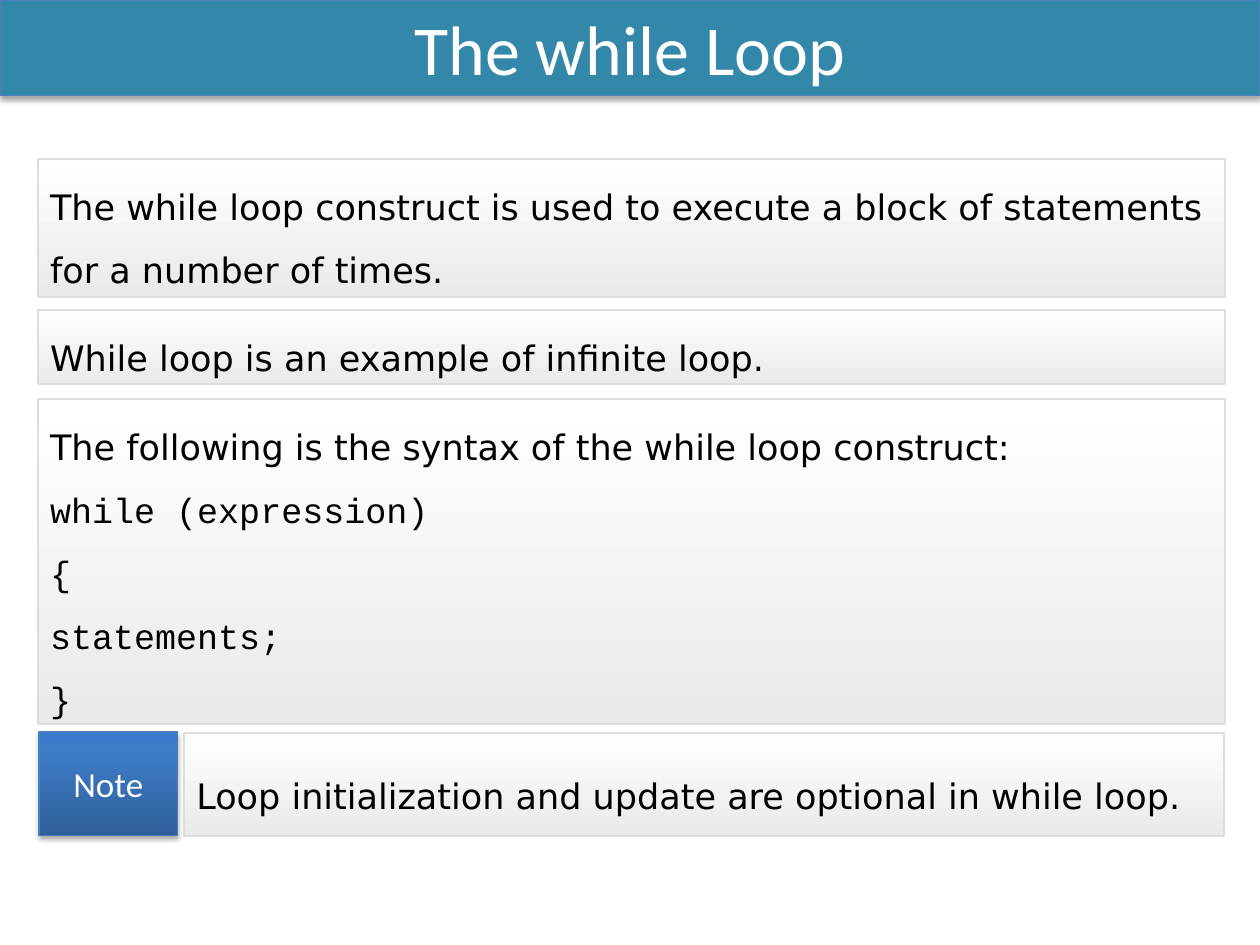
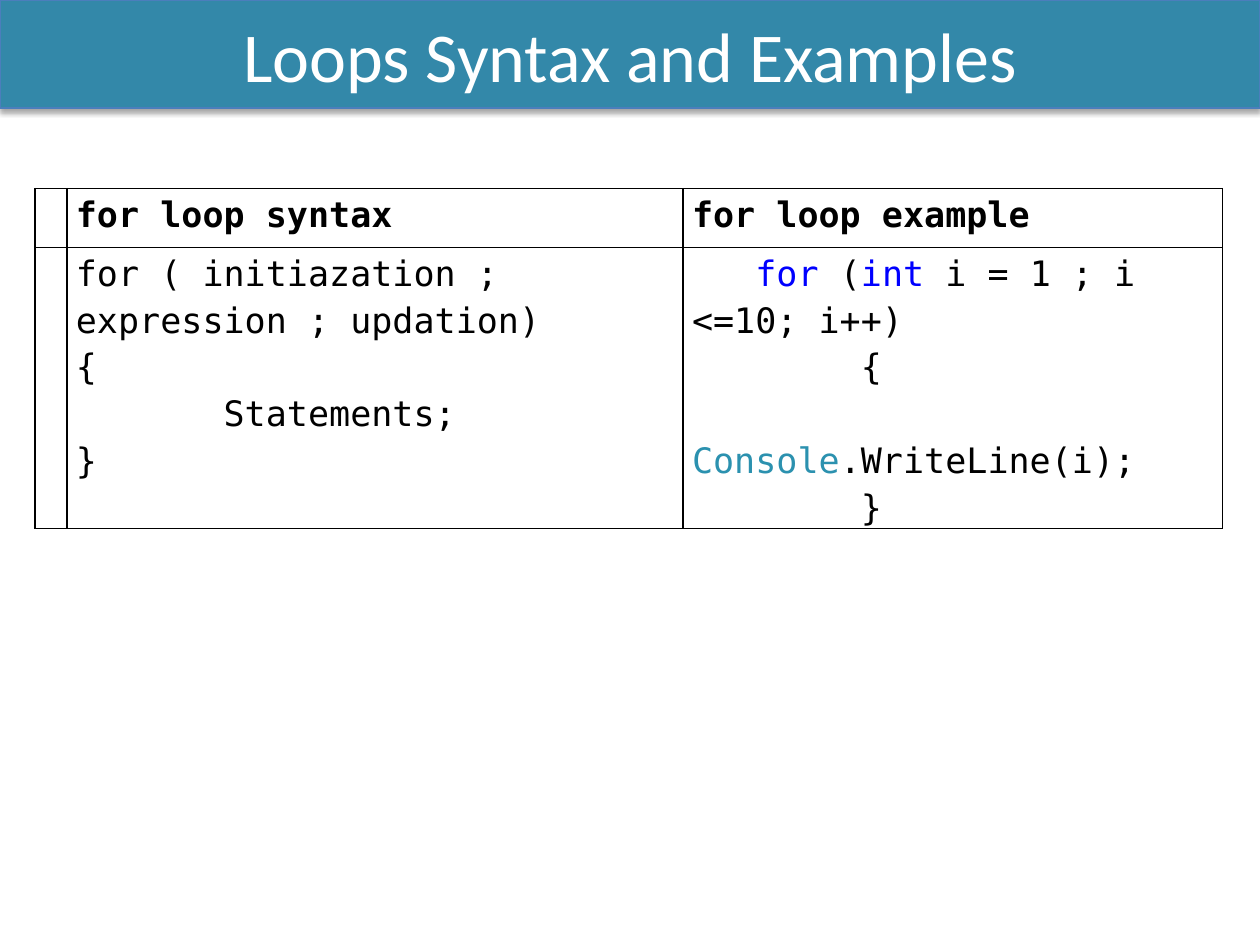
"""Build two slides on loops: the while construct and a table of for syntax."""
from copy import deepcopy
from pptx import Presentation
from pptx.dml.color import RGBColor
from pptx.enum.shapes import MSO_SHAPE
from pptx.enum.text import MSO_ANCHOR, PP_ALIGN
from pptx.oxml import parse_xml
from pptx.oxml.ns import nsdecls, qn
from pptx.util import Cm, Pt

WIDTH, HEIGHT = 25.4, 19.05
BLACK, WHITE, BLUE, TEAL = "000000", "FFFFFF", "0000FF", "2B91AF"
BAND, EDGE, FRAME = "3388A9", "4B7EBC", "DDDDDD"
PALE = ([(0, WHITE), (1, "EAEAEA")], 270)
DEEP = ([(0, "2F5F99"), (0.8, "3D7CC7"), (1, "3A7CCB")], 90)

HEAD = {"name": "Calibri", "size": Pt(40), "color": WHITE}
LABEL = {"name": "Calibri", "size": Pt(20), "color": WHITE}
BODY = {"name": "DejaVu Sans", "size": Pt(20), "color": BLACK}
CODE = {**BODY, "name": "Courier New"}
MONO = {**BODY, "name": "DejaVu Sans Mono"}
BOLD = {**MONO, "bold": True}
KEY = {**MONO, "color": BLUE}
KIND = {**MONO, "color": TEAL}

SYNTAX = ["while (expression)", "{", "statements;", "}"]
BOXES = [
    (0.76, 3.2, 23.93, 2.79, [[(
        "The while loop construct is used to execute a block of statements for a number of times.",
        BODY)]]),
    (0.76, 6.25, 23.93, 1.5, [[("While loop is an example of infinite loop.", BODY)]]),
    (0.76, 8.05, 23.93, 6.55,
     [[("The following is the syntax of the while loop construct:", BODY)]]
     + [[(line, CODE)] for line in SYNTAX]),
    (3.71, 14.78, 20.96, 2.08,
     [[("Loop initialization and update are optional in while loop.", BODY)]]),
]
NOTE = (0.79, 14.76, 2.79, 2.08, [[("Note", LABEL)]])

COLS, ROWS = [0.64, 12.42, 10.87], [1.19, 5.66]
FORM = ["for ( initiazation ; expression ; updation)", "{", "       Statements;", "}"]
SAMPLE = [
    [("   ", MONO), ("for", KEY), (" (", MONO), ("int", KEY), (" i = 1 ; i <=10; i++)", MONO)],
    [("        {", MONO)],
    [("            ", MONO), ("Console", KIND), (".WriteLine(i);", MONO)],
    [("        }", MONO)],
]
CELLS = [
    [[], [[("for loop syntax", BOLD)]], [[("for loop example", BOLD)]]],
    [[], [[(line, MONO)] for line in FORM], SAMPLE],
]


def tint(code):
    """Turn a hex string into a colour."""
    return RGBColor.from_string(code)


def style(item, **looks):
    """Set each named value on an object."""
    for name, value in looks.items():
        setattr(item, name, value)


def write(frame, lines, align=PP_ALIGN.LEFT, space=1.0):
    """Fill a text frame with lines made of styled runs."""
    for spot, line in enumerate(lines):
        para = frame.add_paragraph() if spot else frame.paragraphs[0]
        style(para, alignment=align, line_spacing=space)
        for text, looks in line:
            run = para.add_run()
            run.text = text
            for name, value in looks.items():
                if name == "color":
                    run.font.color.rgb = tint(value)
                else:
                    setattr(run.font, name, value)


def shade(shape, stops, angle):
    """Give a shape a gradient with any number of stops."""
    shape.fill.gradient()
    shape.fill.gradient_angle = angle
    group = shape._element.spPr.find(qn("a:gradFill")).find(qn("a:gsLst"))
    for _ in stops[2:]:
        group.append(deepcopy(group[-1]))
    for stop, (place, code) in zip(shape.fill.gradient_stops, stops):
        stop.position = place
        stop.color.rgb = tint(code)


def cast(shape):
    """Drop a soft shadow straight below a shape."""
    shape._element.spPr.find(qn("a:effectLst")).append(parse_xml(
        f'<a:outerShdw {nsdecls("a")} blurRad="39370" dist="22860" dir="5400000" '
        f'rotWithShape="0"><a:srgbClr val="{BLACK}"><a:alpha val="35000"/>'
        '</a:srgbClr></a:outerShdw>'))


def panel(slide, left, top, width, height, lines, fill=PALE, edge=FRAME,
          thick=1, align=PP_ALIGN.LEFT, space=1.5, raised=False):
    """Draw a framed rectangle with text."""
    shape = slide.shapes.add_shape(
        MSO_SHAPE.RECTANGLE, *map(Cm, (left, top, width, height)))
    shape.shadow.inherit = False
    if isinstance(fill, str):
        shape.fill.solid()
        shape.fill.fore_color.rgb = tint(fill)
    else:
        shade(shape, *fill)
    shape.line.color.rgb = tint(edge)
    shape.line.width = Pt(thick)
    if raised:
        cast(shape)
    style(shape.text_frame, word_wrap=True, vertical_anchor=MSO_ANCHOR.MIDDLE)
    write(shape.text_frame, lines, align, space)


RAISED = {"edge": EDGE, "thick": 0.75, "align": PP_ALIGN.CENTER, "space": 1.0, "raised": True}


def title(slide, text, height):
    """Draw the title band across the top."""
    panel(slide, 0, 0, WIDTH, height, [[(text, HEAD)]], fill=BAND, **RAISED)


def border(cell):
    """Rule all four sides of a cell."""
    props = cell._tc.get_or_add_tcPr()
    for spot, side in enumerate("LRTB"):
        props.insert(spot, parse_xml(
            f'<a:ln{side} {nsdecls("a")} w="12700"><a:solidFill>'
            f'<a:srgbClr val="{BLACK}"/></a:solidFill></a:ln{side}>'))


def grid(slide, left, top):
    """Draw the table of syntax and sample code."""
    table = slide.shapes.add_table(
        len(ROWS), len(COLS), *map(Cm, (left, top, sum(COLS), sum(ROWS)))).table
    style(table, first_row=False, horz_banding=False)
    for col, width in zip(table.columns, COLS):
        col.width = Cm(width)
    for row, height, texts in zip(table.rows, ROWS, CELLS):
        row.height = Cm(height)
        for cell, lines in zip(row.cells, texts):
            style(cell, margin_left=Cm(0.18), margin_right=Cm(0.18),
                  margin_top=0, margin_bottom=0)
            cell.fill.background()
            border(cell)
            write(cell.text_frame, lines, space=1.15)


def main():
    """Build and save both slides."""
    deck = Presentation()
    style(deck, slide_width=Cm(WIDTH), slide_height=Cm(HEIGHT))
    first, second = (deck.slides.add_slide(deck.slide_layouts[6]) for _ in range(2))
    title(first, "The while Loop", 1.93)
    for box in BOXES:
        panel(first, *box)
    panel(first, *NOTE, fill=DEEP, **RAISED)
    grid(second, 0.71, 3.8)
    title(second, "Loops Syntax and Examples", 2.18)
    deck.save("out.pptx")


if __name__ == "__main__":
    main()
